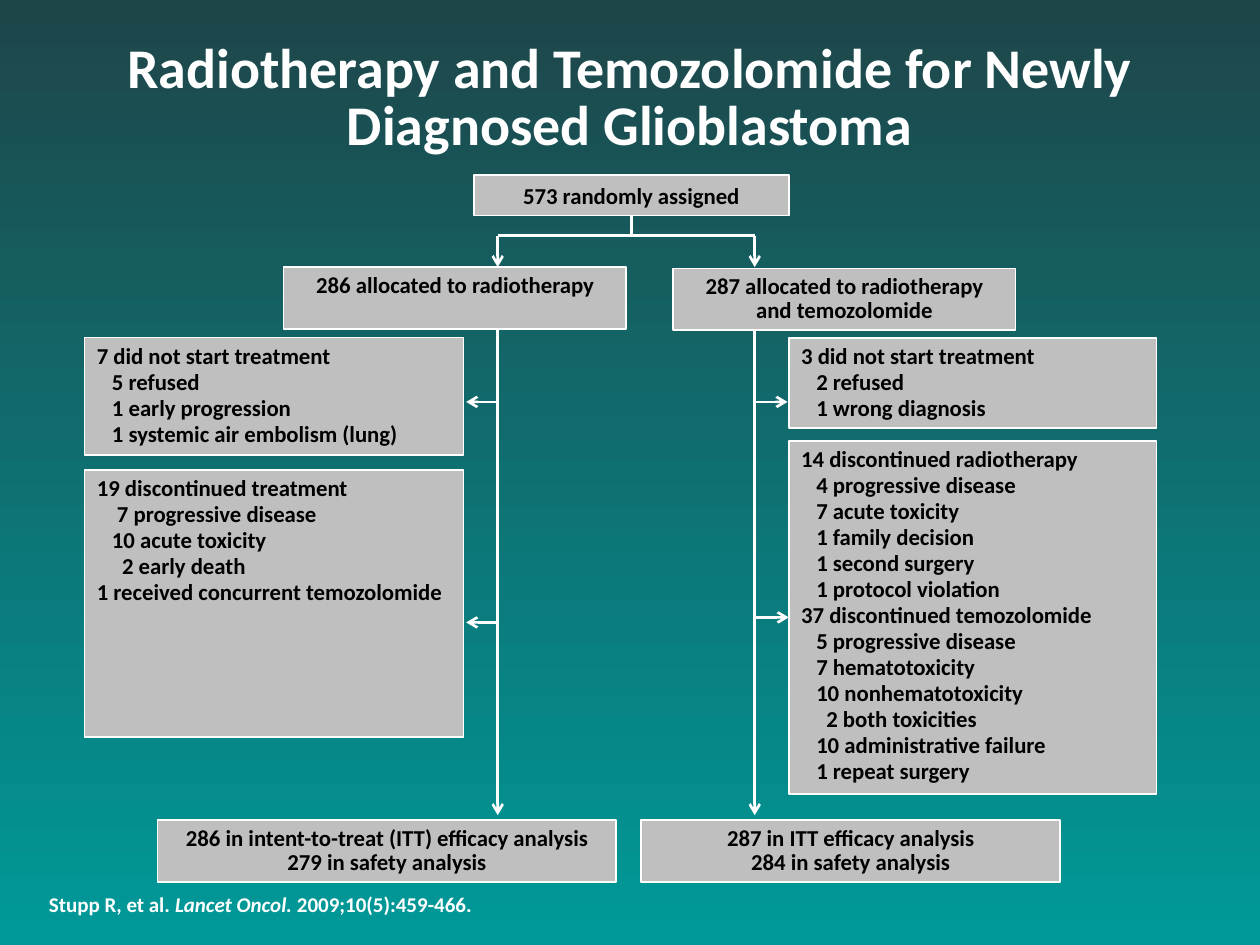
from dataclasses import dataclass
from typing import Optional

from lxml.etree import SubElement
from pptx import Presentation
from pptx.dml.color import RGBColor
from pptx.enum.shapes import MSO_CONNECTOR, MSO_SHAPE
from pptx.enum.text import MSO_ANCHOR, MSO_AUTO_SIZE, PP_ALIGN
from pptx.oxml.ns import qn
from pptx.shapes.autoshape import Shape
from pptx.shapes.connector import Connector
from pptx.slide import Slide
from pptx.util import Inches, Pt

WHITE = RGBColor(0xFF, 0xFF, 0xFF)
BLACK = RGBColor(0x00, 0x00, 0x00)
BOX_GRAY = RGBColor(0xBF, 0xBF, 0xBF)
TEAL = RGBColor(0x00, 0x99, 0x99)
DARK_TEAL = RGBColor(0x1E, 0x46, 0x49)
FONT = "Calibri"

SLIDE_WIDTH, SLIDE_HEIGHT = 10, 7.5
INDENT_STEP = 0.04  # width of one figure-aligning step, in inches

# Columns and rows of the flow chart, in inches
LEFT_LIST, LEFT_LIST_WIDTH = 0.67, 3.01
RIGHT_LIST, RIGHT_LIST_WIDTH = 6.26, 2.92
LEFT_TRUNK, ROOT_CENTER, RIGHT_TRUNK = 3.95, 5.01, 5.99
LEFT_TIP, RIGHT_TIP = 3.7, 6.25
ARM_WIDTH, ARM_HEIGHT = 2.72, 0.49
BRANCH_ROW, ARM_ROW, TRUNK_ROW = 1.87, 2.12, 2.62
LIST_ROW, TRUNK_END, ANALYSIS_ROW = 2.68, 6.47, 6.51
NOT_STARTED_ROW, DISCONTINUED_ROW = 3.19, 4.94


@dataclass(frozen=True)
class Line:
    text: str
    indent: int = 0


@dataclass(frozen=True)
class Box:
    left: float
    top: float
    width: float
    height: float
    lines: tuple[Line, ...]
    spacing: float = 0.95
    alignment: PP_ALIGN = PP_ALIGN.LEFT


@dataclass(frozen=True)
class Link:
    start: tuple[float, float]
    end: tuple[float, float]
    arrow: bool = True


def item(text: str, indent: int = 3) -> Line:
    return Line(text, indent)


def centered(left: float, top: float, width: float, height: float, *texts: str,
             spacing: float = 0.9) -> Box:
    return Box(left, top, width, height, tuple(map(Line, texts)), spacing, PP_ALIGN.CENTER)


ROOT = centered(3.76, 1.39, 2.5, 0.32, "573 randomly assigned", spacing=1.0)

RIGHT_DISCONTINUED = Box(RIGHT_LIST, 3.5, RIGHT_LIST_WIDTH, 2.8, (
    Line("14 discontinued radiotherapy"),
    item("4 progressive disease"),
    item("7 acute toxicity"),
    item("1 family decision"),
    item("1 second surgery"),
    item("1 protocol violation"),
    Line("37 discontinued temozolomide"),
    item("5 progressive disease"),
    item("7 hematotoxicity"),
    item("10 nonhematotoxicity"),
    item("2 both toxicities", 5),
    item("10 administrative failure"),
    item("1 repeat surgery"),
))

BOXES = (
    centered(2.25, ARM_ROW, ARM_WIDTH, ARM_HEIGHT, "286 allocated to radiotherapy"),
    centered(5.34, ARM_ROW + 0.01, ARM_WIDTH, ARM_HEIGHT,
             "287 allocated to radiotherapy and temozolomide"),
    Box(LEFT_LIST, LIST_ROW, LEFT_LIST_WIDTH, 0.93, (
        Line("7 did not start treatment"),
        item("5 refused"),
        item("1 early progression"),
        item("1 systemic air embolism (lung)"),
    )),
    Box(RIGHT_LIST, LIST_ROW, RIGHT_LIST_WIDTH, 0.72, (
        Line("3 did not start treatment"),
        item("2 refused"),
        item("1 wrong diagnosis"),
    )),
    Box(LEFT_LIST, 3.73, LEFT_LIST_WIDTH, 2.12, (
        Line("19 discontinued treatment"),
        item("7 progressive disease", 4),
        item("10 acute toxicity"),
        item("2 early death", 5),
        Line("1 received concurrent temozolomide"),
    )),
    centered(1.25, ANALYSIS_ROW, 3.64, ARM_HEIGHT,
             "286 in intent-to-treat (ITT) efficacy analysis", "279 in safety analysis"),
    centered(5.09, ANALYSIS_ROW, 3.32, ARM_HEIGHT,
             "287 in ITT efficacy analysis", "284 in safety analysis"),
)

LINKS = (
    Link((LEFT_TRUNK, BRANCH_ROW), (RIGHT_TRUNK, BRANCH_ROW), arrow=False),
    *(Link((trunk, top), (trunk, bottom))
      for trunk in (LEFT_TRUNK, RIGHT_TRUNK)
      for top, bottom in ((BRANCH_ROW, ARM_ROW), (TRUNK_ROW, TRUNK_END))),
    *(Link((LEFT_TRUNK, row), (LEFT_TIP, row)) for row in (NOT_STARTED_ROW, DISCONTINUED_ROW)),
    Link((RIGHT_TRUNK, NOT_STARTED_ROW), (RIGHT_TIP, NOT_STARTED_ROW)),
)


def draw_box(slide: Slide, box: Box) -> Shape:
    shape = slide.shapes.add_shape(
        MSO_SHAPE.RECTANGLE, *map(Inches, (box.left, box.top, box.width, box.height)))
    shape.shadow.inherit = False
    shape.fill.solid()
    shape.fill.fore_color.rgb = BOX_GRAY
    shape.line.color.rgb = WHITE
    shape.line.width = Pt(1)
    frame = shape.text_frame
    frame.word_wrap = True
    frame.vertical_anchor = MSO_ANCHOR.TOP
    for index, line in enumerate(box.lines):
        paragraph = frame.add_paragraph() if index else frame.paragraphs[0]
        paragraph.text = line.text
        paragraph.alignment = box.alignment
        paragraph.line_spacing = box.spacing
        if line.indent:
            paragraph._p.get_or_add_pPr().set("marL", str(Inches(line.indent * INDENT_STEP)))
        set_font(paragraph.font, 13, BLACK)
    return shape


def set_font(font, size: float, color: RGBColor) -> None:
    font.name = FONT
    font.size = Pt(size)
    font.bold = True
    font.color.rgb = color


def draw_link(slide: Slide, link: Link, source: Optional[Shape] = None,
              target: Optional[Shape] = None) -> Connector:
    """Draw a link, joined to the bottom of source or the left side of target."""
    connector = slide.shapes.add_connector(
        MSO_CONNECTOR.STRAIGHT, *map(Inches, link.start + link.end))
    connector.line.color.rgb = WHITE
    connector.line.width = Pt(1.5)
    if link.arrow:
        SubElement(connector.line._get_or_add_ln(), qn("a:tailEnd"), type="arrow")
    SubElement(connector._element.spPr, qn("a:effectLst"))
    if source is not None:
        connector.begin_connect(source, 2)
    if target is not None:
        connector.end_connect(target, 1)
    return connector


def draw_background(slide: Slide) -> None:
    fill = slide.background.fill
    fill.gradient()
    fill.gradient_angle = 90
    for stop, color, position in zip(fill.gradient_stops, (TEAL, DARK_TEAL), (0, 1)):
        stop.color.rgb = color
        stop.position = position


def draw_title(slide: Slide) -> None:
    title = slide.shapes.title
    title.left, title.top, title.width, title.height = map(
        Inches, (0, 0.29, SLIDE_WIDTH, 1.02))
    frame = title.text_frame
    frame.text = "Radiotherapy and Temozolomide for Newly Diagnosed Glioblastoma"
    frame.word_wrap = True
    frame.auto_size = MSO_AUTO_SIZE.NONE
    frame.vertical_anchor = MSO_ANCHOR.TOP
    paragraph = frame.paragraphs[0]
    paragraph.alignment = PP_ALIGN.CENTER
    paragraph.line_spacing = 0.85
    set_font(paragraph.font, 32, WHITE)


def draw_citation(slide: Slide) -> None:
    text_box = slide.shapes.add_textbox(*map(Inches, (0.29, 7.03, 9.5, 0.3)))
    text_box.text_frame.word_wrap = True
    paragraph = text_box.text_frame.paragraphs[0]
    set_font(paragraph.font, 12, WHITE)
    for text, italic in (("Stupp R, et al. ", False), ("Lancet Oncol. ", True),
                         ("2009;10(5):459-466.", False)):
        run = paragraph.add_run()
        run.text = text
        run.font.italic = italic


def main() -> None:
    presentation = Presentation()
    presentation.slide_width = Inches(SLIDE_WIDTH)
    presentation.slide_height = Inches(SLIDE_HEIGHT)
    slide = presentation.slides.add_slide(presentation.slide_layouts[5])
    draw_background(slide)
    draw_title(slide)
    draw_citation(slide)
    root = draw_box(slide, ROOT)
    for box in BOXES:
        draw_box(slide, box)
    right_discontinued = draw_box(slide, RIGHT_DISCONTINUED)
    for link in LINKS:
        draw_link(slide, link)
    draw_link(slide, Link((ROOT_CENTER, 1.71), (ROOT_CENTER, BRANCH_ROW), arrow=False),
              source=root)
    draw_link(slide, Link((RIGHT_TRUNK, 4.9), (RIGHT_LIST, 4.9)), target=right_discontinued)
    presentation.save("out.pptx")


if __name__ == "__main__":
    main()
